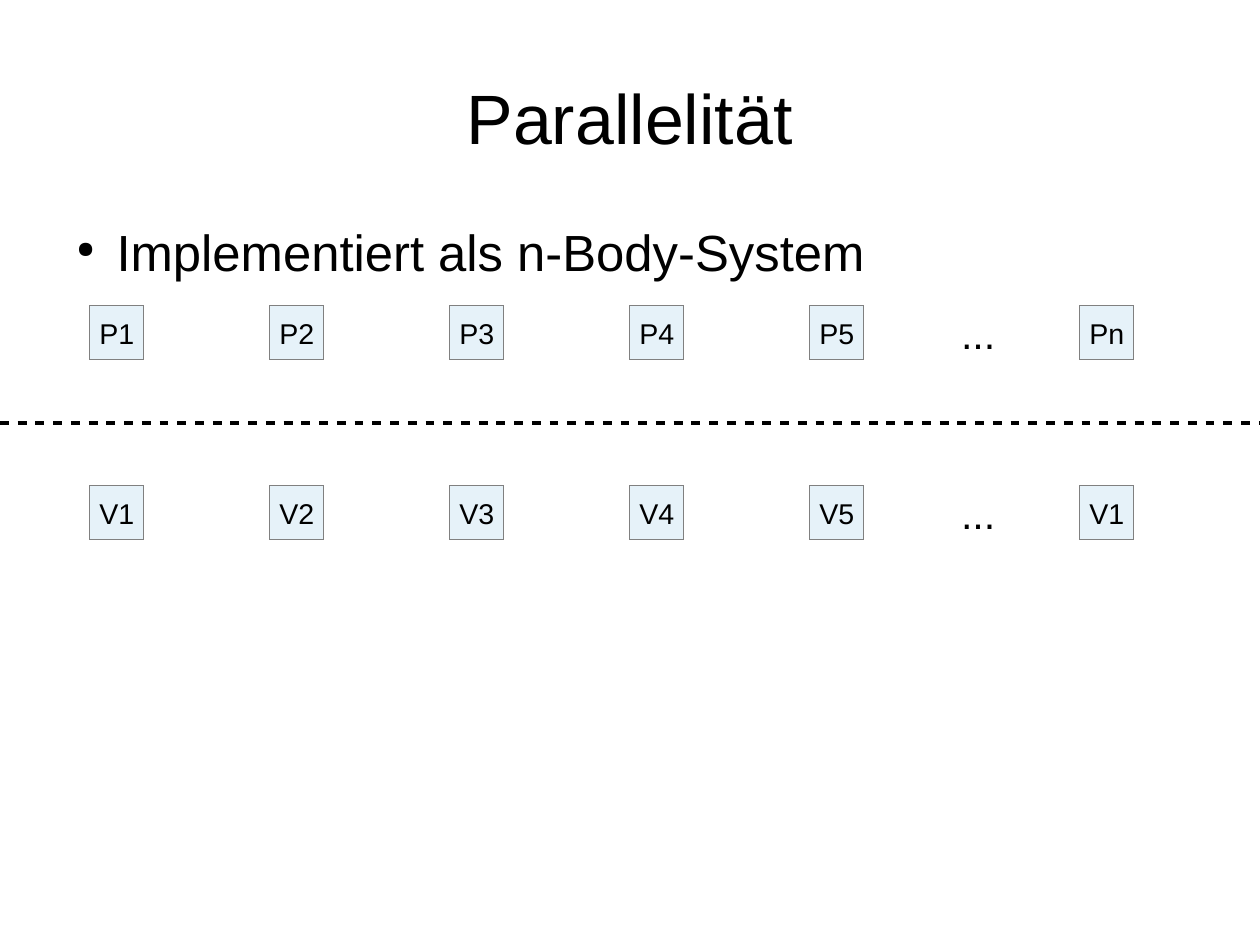
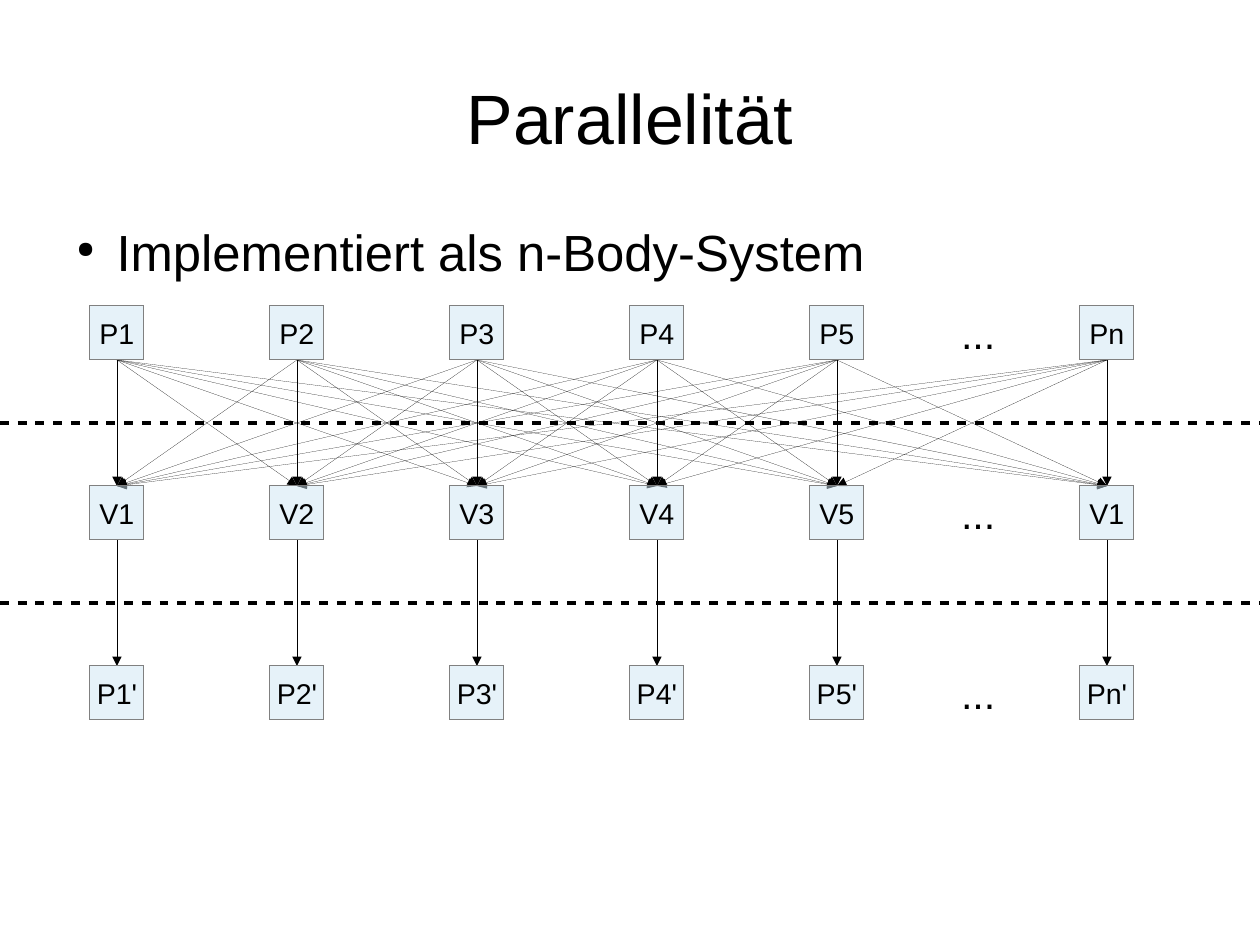
import pptx
import pptx.util
import pptx.dml.color
import pptx.enum.shapes
import pptx.enum.text
import pptx.oxml.ns
import lxml.etree

Inches = pptx.util.Inches
Kind = pptx.enum.shapes.MSO_SHAPE
Link = pptx.enum.shapes.MSO_CONNECTOR
Align = pptx.enum.text.PP_ALIGN
Anchor = pptx.enum.text.MSO_ANCHOR
qn = pptx.oxml.ns.qn

HUES = {"ink": "000000", "box": "CFE7F5", "edge": "808080"}
CM = 1 / 2.54  # the layout is metric, in inches
WIDE, HIGH = 28 * CM, 21 * CM
HAIR = 0.01

# Grid of nodes: equal steps both ways, the last column after a gap
STEP, SIDE = 4 * CM, 1.2 * CM
LEFT, TOP = 2 * CM, 6.8 * CM
COLS = [0, 1, 2, 3, 4, 5.5]
ROWS = [
    ["P1", "P2", "P3", "P4", "P5", "Pn"],
    ["V1", "V2", "V3", "V4", "V5", "V1"],
    ["P1'", "P2'", "P3'", "P4'", "P5'", "Pn'"],
]


def write(shape, text, size, align=Align.LEFT, anchor=Anchor.TOP,
          pad=(0, 0), wrap=True):
    frame = shape.text_frame
    frame.word_wrap = wrap
    frame.vertical_anchor = anchor
    frame.margin_left = frame.margin_right = Inches(pad[0])
    frame.margin_top = frame.margin_bottom = Inches(pad[1])
    para = frame.paragraphs[0]
    para.alignment = align
    run = para.add_run()
    run.text = text
    run.font.name = "Arial"
    run.font.size = pptx.util.Pt(size)
    run.font.color.rgb = pptx.dml.color.RGBColor.from_string(HUES["ink"])
    return para


def draw(slide, width, start=(0, 0), end=(0, 0)):
    line = slide.shapes.add_connector(
        Link.STRAIGHT, *[Inches(n) for n in (*start, *end)])
    line.line.color.rgb = pptx.dml.color.RGBColor.from_string(HUES["ink"])
    line.line.width = pptx.util.Pt(width)
    props = line._element.spPr
    lxml.etree.SubElement(props, qn("a:effectLst"))
    return line, props.find(qn("a:ln"))


deck = pptx.Presentation()
deck.slide_width, deck.slide_height = Inches(WIDE), Inches(HIGH)

# The first slide shows two rows, the second adds arrows and a third row
for count in (2, 3):
    slide = deck.slides.add_slide(deck.slide_layouts[6])
    shapes = slide.shapes

    # Dashed lines halfway between the rows
    for gap in range(count - 1):
        y = TOP + SIDE / 2 + STEP * (gap + 0.5)
        rule, stroke = draw(slide, 2.83, (0, y), (WIDE, y))
        dash = lxml.etree.SubElement(stroke, qn("a:custDash"))
        lxml.etree.SubElement(dash, qn("a:ds"), d="197000", sp="197000")

    # Title and bullet
    title = shapes.add_textbox(
        Inches(0.55), Inches(0.33), Inches(9.92), Inches(1.38))
    write(title, "Parallelität", 44, align=Align.CENTER, anchor=Anchor.MIDDLE)
    body = shapes.add_textbox(
        Inches(0.55), Inches(1.93), Inches(9.7), Inches(4.79))
    para = write(body, "Implementiert als n-Body-System", 32)
    para.space_after = pptx.util.Pt(14.2)
    props = para._p.get_or_add_pPr()
    props.set("marL", str(Inches(0.47)))
    props.set("indent", str(Inches(-0.35)))
    lxml.etree.SubElement(props, qn("a:buSzPct"), val="45000")
    lxml.etree.SubElement(props, qn("a:buFont"), typeface="StarSymbol")
    lxml.etree.SubElement(props, qn("a:buChar"), char="●")

    # Rows of nodes, each with its dots
    nodes = []
    for row, names in enumerate(ROWS[:count]):
        y = TOP + STEP * row
        line = []
        for col, name in zip(COLS, names):
            box = shapes.add_shape(
                Kind.FLOWCHART_PROCESS, Inches(LEFT + STEP * col), Inches(y),
                Inches(SIDE), Inches(SIDE))
            box.shadow.inherit = False
            box.fill.solid()
            box.fill.fore_color.rgb = pptx.dml.color.RGBColor.from_string(
                HUES["box"])
            tint = box._element.spPr.find(qn("a:solidFill"))[0]
            lxml.etree.SubElement(tint, qn("a:alpha"), val="50000")
            box.line.color.rgb = pptx.dml.color.RGBColor.from_string(
                HUES["edge"])
            box.line.width = pptx.util.Pt(HAIR)
            write(box, name, 18, align=Align.CENTER, anchor=Anchor.MIDDLE,
                  pad=(0.1, 0.05), wrap=False)
            line.append(box)
        nodes.append(line)
        dots = shapes.add_textbox(
            Inches(8.31), Inches(y - 0.03), Inches(0.55), Inches(0.5))
        write(dots, "...", 26, pad=(0.1, 0.05))

    # Arrows: every P to every V, then each V to its own P'
    pairs = []
    if count == 3:
        pairs = [(a, b) for a in nodes[0] for b in nodes[1]]
        pairs += zip(nodes[1], nodes[2])
    for start, end in pairs:
        arrow, stroke = draw(slide, HAIR)
        arrow.begin_connect(start, 2)
        arrow.end_connect(end, 0)
        lxml.etree.SubElement(stroke, qn("a:tailEnd"), type="triangle")
        # Behind the nodes
        nodes[0][0]._element.addprevious(arrow._element)

deck.save("out.pptx")
